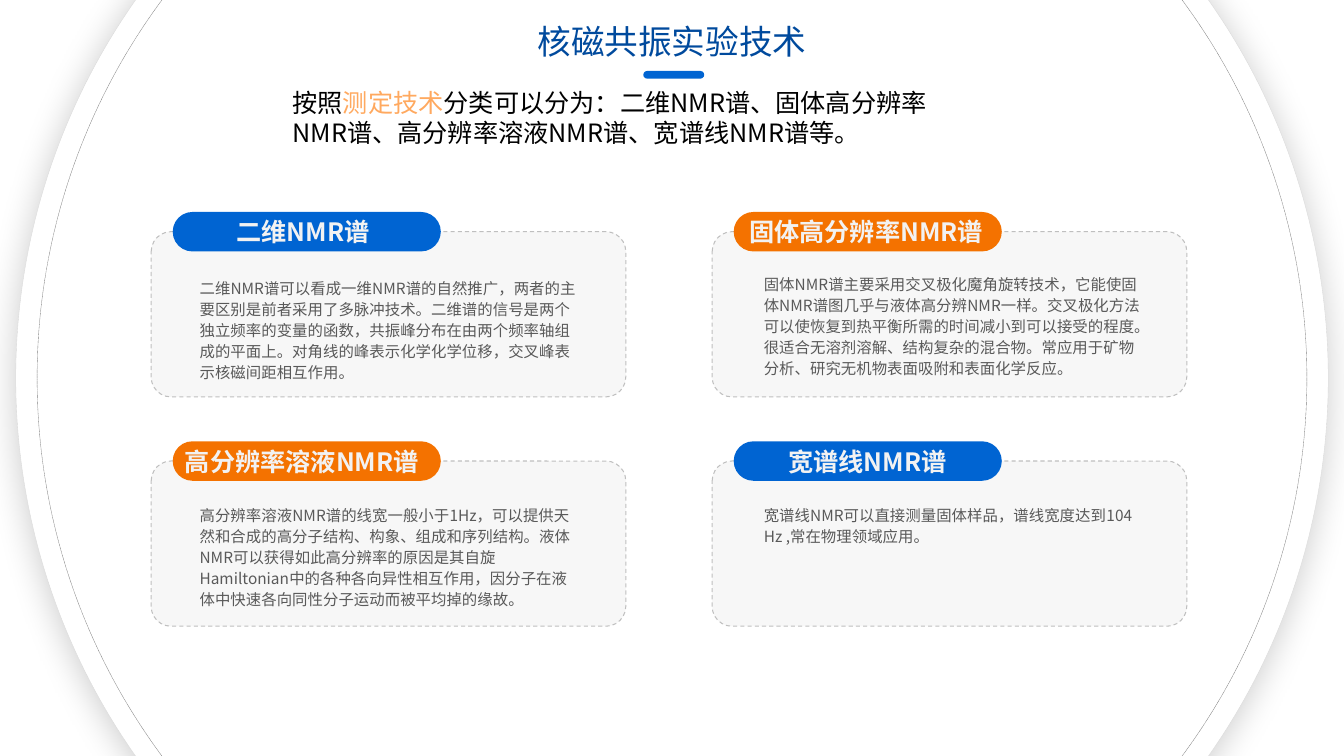
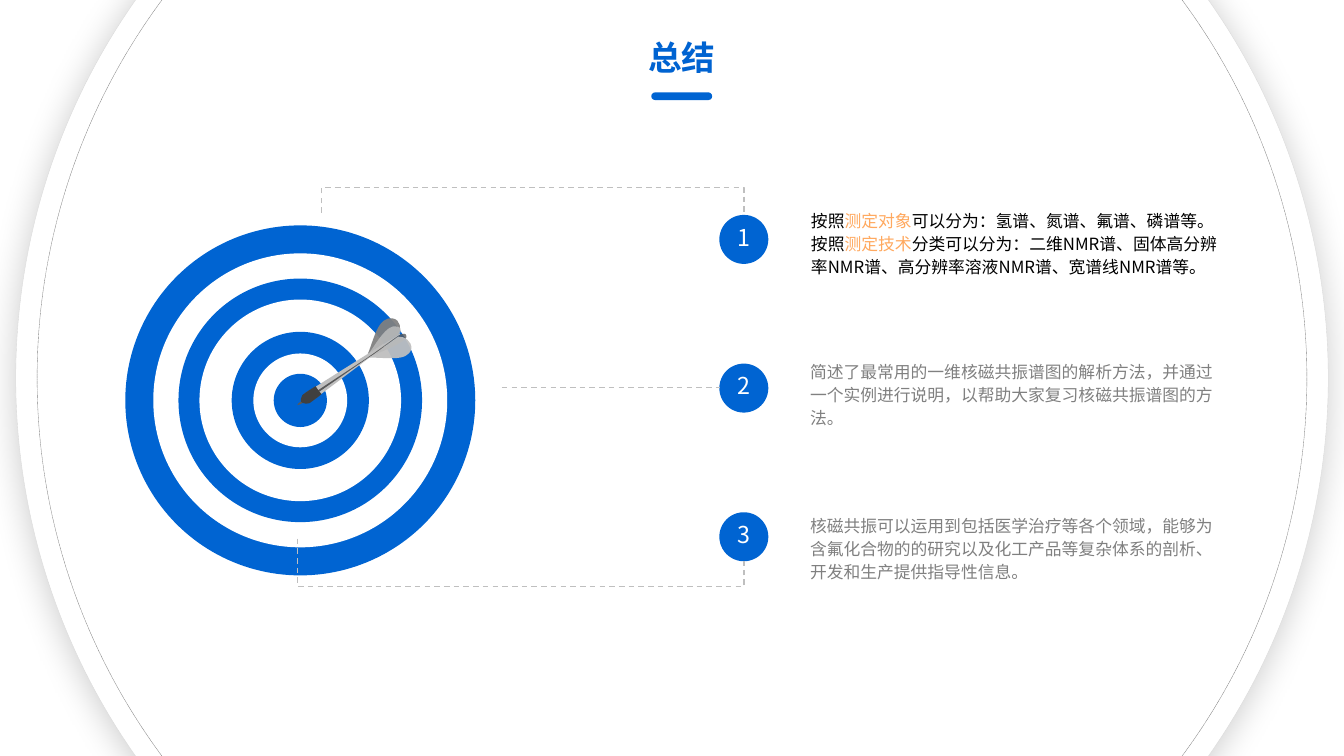
"""Build two slides on NMR techniques."""
from dataclasses import dataclass
from typing import Any

from lxml.etree import SubElement
from pptx import Presentation
from pptx.dml.color import RGBColor
from pptx.enum.dml import MSO_LINE
from pptx.enum.shapes import MSO_CONNECTOR, MSO_SHAPE
from pptx.enum.text import MSO_ANCHOR, MSO_AUTO_SIZE, PP_ALIGN
from pptx.oxml.ns import qn
from pptx.util import Pt

FACE = "Noto Sans CJK SC"
BLUE = RGBColor(0x00, 0x64, 0xD2)
NAVY = RGBColor(0x00, 0x4A, 0x9D)
AZURE = RGBColor(0x00, 0x63, 0xD1)
ORANGE = RGBColor(0xF4, 0x72, 0x00)
PEACH = RGBColor(0xFF, 0xA9, 0x5F)
BLACK = RGBColor(0x00, 0x00, 0x00)
COAL = RGBColor(0x40, 0x40, 0x40)
SLATE = RGBColor(0x59, 0x59, 0x59)
GRAY = RGBColor(0x80, 0x80, 0x80)
SILVER = RGBColor(0xBF, 0xBF, 0xBF)
PALE = RGBColor(0xD9, 0xD9, 0xD9)
FROST = RGBColor(0xF2, 0xF2, 0xF2)
MIST = RGBColor(0xF7, 0xF7, 0xF7)
WHITE = RGBColor(0xFF, 0xFF, 0xFF)


@dataclass(frozen=True)
class Box:
    """A place and size in points."""
    left: float
    top: float
    width: float
    height: float


@dataclass(frozen=True)
class Card:
    """A captioned panel; hx, dx and dy are text offsets from its corner."""
    col: int
    row: int
    fill: RGBColor
    head: str
    hx: float
    wide: float
    body: str
    dx: float
    dy: float
    tall: float


@dataclass(frozen=True)
class Item:
    """A numbered closing remark; bars mark accented words."""
    left: float
    top: float
    tall: float
    color: RGBColor
    text: str


@dataclass(frozen=True)
class Blade:
    """A closed outline; a step is an end point or a whole curve."""
    fill: RGBColor
    alpha: int
    start: tuple[float, float]
    steps: tuple[tuple[float, ...], ...]


CARDS = (
    Card(0, 0, BLUE, "二维NMR谱", 27.4, 162,
         "二维NMR谱可以看成一维NMR谱的自然推广，两者的主要区别是前者采用了多脉冲技术。"
         "二维谱的信号是两个独立频率的变量的函数，共振峰分布在由两个频率轴组成的平面上。"
         "对角线的峰表示化学化学位移，交叉峰表示核磁间距相互作用。", 27.5, 28.3, 83.5),
    Card(0, 1, ORANGE, "高分辨率溶液NMR谱", 9.4, 196.5,
         "高分辨率溶液NMR谱的线宽一般小于1Hz，可以提供天然和合成的高分子结构、构象、组成和序列结构。"
         "液体NMR可以获得如此高分辨率的原因是其自旋Hamiltonian中的各种各向异性相互作用，"
         "因分子在液体中快速各向同性分子运动而被平均掉的缘故。", 27.5, 26.8, 83.5),
    Card(1, 0, ORANGE, "固体高分辨率NMR谱", 12.4, 195,
         "固体NMR谱主要采用交叉极化魔角旋转技术，它能使固体NMR谱图几乎与液体高分辨NMR一样。"
         "交叉极化方法可以使恢复到热平衡所需的时间减小到可以接受的程度。"
         "很适合无溶剂溶解、结构复杂的混合物。常应用于矿物分析、研究无机物表面吸附和表面化学反应。",
         29.8, 25.7, 83.5),
    Card(1, 1, BLUE, "宽谱线NMR谱", 29.8, 162,
         "宽谱线NMR可以直接测量固体样品，谱线宽度达到104 Hz ,常在物理领域应用。", 29.8, 26.8, 36),
)
KINDS = "按照|测定技术|分类可以分为：二维NMR谱、固体高分辨率NMR谱、高分辨率溶液NMR谱、宽谱线NMR谱等。"
ITEMS = (
    Item(572.2, 144.7, 72, BLACK, "按照|测定对象|可以分为：氢谱、氮谱、氟谱、磷谱等。" + KINDS),
    Item(571.5, 252.7, 57, GRAY,
         "简述了最常用的一维核磁共振谱图的解析方法，并通过一个实例进行说明，以帮助大家复习核磁共振谱图的方法。"),
    Item(571.5, 362.9, 55.5, GRAY,
         "核磁共振可以运用到包括医学治疗等各个领域，能够为含氟化合物的的研究以及化工产品等复杂体系的剖析、"
         "开发和生产提供指导性信息。"),
)
RINGS = (250, 210, 174, 144, 98, 67, 38)
DART = (
    Blade(SILVER, 100, (285.8, 238.3), (
        (218.2, 280.8), (216.7, 281.5, 216, 284.4, 217.4, 285.8),
        (218.2, 288, 219.6, 288, 221, 286.6), (224.6, 285.1), (285.8, 239))),
    Blade(SLATE, 80, (263.5, 254.9), (
        (291.6, 244.1, 290.9, 240.5, 290.2, 239.8),
        (290.2, 238.3, 288, 237.6, 284.4, 239.8))),
    Blade(GRAY, 94, (262.8, 252.7), (
        (267.1, 242.6, 270, 225.4, 280.8, 227.5),
        (285.8, 228.2, 287.3, 235.4, 284.4, 239))),
    Blade(SILVER, 94, (263.5, 255.6), (
        (274.3, 254.9, 291.6, 259.2, 293.8, 249.1),
        (294.5, 244.1, 288.7, 239.8, 284.4, 240.5))),
    Blade(SILVER, 80, (262.8, 253.4), (
        (267.8, 247, 276.5, 230.4, 283.7, 233.3),
        (285.1, 233.3, 288, 234.7, 285.1, 239))),
    Blade(SLATE, 100, (274.3, 247.7), (
        (215.3, 286.6), (213.8, 287.3, 212.4, 288.7, 212.4, 289.4),
        (213.1, 289.4, 214.6, 288.7, 216, 288), (222.5, 283.7))),
    Blade(COAL, 100, (229.7, 281.5), (
        (227.5, 279.4, 226.8, 277.9, 225.4, 275.8),
        (224.6, 276.5, 218.2, 280.1, 216, 282.2),
        (214.6, 283.7, 214.6, 286.6, 215.3, 287.3),
        (216, 288, 218.2, 288.7, 221, 288),
        (223.2, 286.6, 229, 282.2, 229.7, 281.5))),
)


def spread(box: Box) -> tuple[Pt, Pt, Pt, Pt]:
    """Return the box as four lengths."""
    return Pt(box.left), Pt(box.top), Pt(box.width), Pt(box.height)


def disc(x: float, y: float, size: float) -> Box:
    """Return the square box around a centre."""
    return Box(x - size / 2, y - size / 2, size, size)


def draw(slide: Any, kind: MSO_SHAPE, box: Box, fill: RGBColor | None,
         curve: float | None = None) -> Any:
    """Add a flat preset shape without outline."""
    shape = slide.shapes.add_shape(kind, *spread(box))
    shape.shadow.inherit = False
    shape.line.fill.background()
    if fill is None:
        shape.fill.background()
    else:
        shape.fill.solid()
        shape.fill.fore_color.rgb = fill
    if curve is not None:
        shape.adjustments[0] = curve
    return shape


def edge(line: Any, color: RGBColor, width: float, dash: MSO_LINE | None) -> None:
    """Style an outline or connector line."""
    line.color.rgb = color
    line.width = Pt(width)
    if dash is not None:
        line.dash_style = dash


def write(shape: Any, text: str, size: float, color: RGBColor, bold: bool = False,
          align: PP_ALIGN = PP_ALIGN.LEFT, space: float = 1.0) -> Any:
    """Fill a text frame, with words between bars in the accent colour."""
    frame = shape.text_frame
    frame.word_wrap = True
    frame.auto_size = MSO_AUTO_SIZE.NONE
    frame.vertical_anchor = MSO_ANCHOR.TOP
    para = frame.paragraphs[0]
    para.alignment = align
    para.line_spacing = space
    font = para.font
    font.name, font.size, font.bold = FACE, Pt(size), bold
    font.color.rgb = color
    SubElement(font._element, qn("a:ea"), typeface=FACE)
    for rank, part in enumerate(text.split("|")):
        run = para.add_run()
        run.text = part
        if rank % 2:
            run.font.color.rgb = PEACH
    return frame


def label(slide: Any, box: Box, text: str, size: float, color: RGBColor,
          bold: bool = False, align: PP_ALIGN = PP_ALIGN.LEFT, space: float = 1.0) -> None:
    """Add a text box."""
    write(slide.shapes.add_textbox(*spread(box)), text, size, color, bold, align, space)


def frame_page(slide: Any, layout: Any) -> None:
    """Move the two large shadowed circles onto the layout."""
    plans = ((937.5, WHITE, PALE, None), (907, None, GRAY, MSO_LINE.SQUARE_DOT))
    for rank, (size, fill, color, dash) in enumerate(plans):
        shape = draw(slide, MSO_SHAPE.OVAL, disc(480, 270, size), fill)
        edge(shape.line, color, 0.25, dash)
        node = shape._element
        cast = SubElement(node.spPr.find(qn("a:effectLst")), qn("a:outerShdw"),
                          blurRad=str(Pt(25)), dist=str(Pt(3)), dir="5400000",
                          algn="t", rotWithShape="0")
        tint = SubElement(cast, qn("a:srgbClr"), val=str(BLACK))
        SubElement(tint, qn("a:alpha"), val="20000")
        layout.shapes._spTree.insert(2 + rank, node)


def head(slide: Any, text: str, x: float, y: float, color: RGBColor, bold: bool,
         bar: tuple[float, float]) -> None:
    """Set the title and the short bar below it."""
    title = slide.shapes.title
    title.left, title.top, title.width, title.height = spread(Box(x, y, 234, 36))
    write(title, text, 24, color, bold, PP_ALIGN.CENTER)
    draw(slide, MSO_SHAPE.ROUNDED_RECTANGLE, Box(*bar, 43.5, 5.5), BLUE, 0.5)


def panel(slide: Any, card: Card) -> None:
    """Draw one card with its caption pill and body."""
    x, y = 108 + 400.7 * card.col, 165.5 + 163.8 * card.row
    back = draw(slide, MSO_SHAPE.ROUNDED_RECTANGLE, Box(x, y, 339, 118), MIST, 0.12)
    edge(back.line, SILVER, 0.75, MSO_LINE.DASH)
    draw(slide, MSO_SHAPE.ROUNDED_RECTANGLE,
         Box(x + 15.4, y - 14.1, 191.5, 28.2), card.fill, 0.5)
    label(slide, Box(x + card.hx, y - 14.2, card.wide, 29), card.head, 18, FROST,
          True, PP_ALIGN.CENTER)
    label(slide, Box(x + card.dx, y + card.dy, 284.5, card.tall), card.body, 11, SLATE,
          space=1.14)


def trace(slide: Any, blade: Blade) -> None:
    """Draw one part of the dart with true curves."""
    spots = [(Pt(step[i]), Pt(step[i + 1]))
             for step in blade.steps for i in range(0, len(step), 2)]
    pen = slide.shapes.build_freeform(*map(Pt, blade.start))
    pen.add_line_segments(spots, close=True)
    shape = pen.convert_to_shape()
    shape.shadow.inherit = False
    shape.line.fill.background()
    shape.fill.solid()
    shape.fill.fore_color.rgb = blade.fill
    props = shape._element.spPr
    nodes = iter(list(props.iter(qn("a:lnTo"))))
    for step in blade.steps:
        first = next(nodes)
        if len(step) == 6:
            curve = first.getparent().makeelement(qn("a:cubicBezTo"))
            first.addprevious(curve)
            for node in (first, next(nodes), next(nodes)):
                curve.append(node[0])
                node.getparent().remove(node)
    if blade.alpha < 100:
        tint = props.find(qn("a:solidFill"))[0]
        SubElement(tint, qn("a:alpha"), val=str(blade.alpha * 1000))


def link(slide: Any, x: float, y: float, ex: float, ey: float,
         bend: float | None = None) -> None:
    """Add a dashed connector, bent by way of a level if one is given."""
    kind = MSO_CONNECTOR.STRAIGHT if bend is None else MSO_CONNECTOR.ELBOW
    wire = slide.shapes.add_connector(kind, Pt(x), Pt(y), Pt(ex), Pt(ey))
    edge(wire.line, SILVER, 1, MSO_LINE.DASH)
    props = wire._element.spPr
    SubElement(props, qn("a:effectLst"))
    if bend is None:
        return
    wide, tall = ey - y, ex - x
    wire.left, wire.top = Pt((x + ex - wide) / 2), Pt((y + ey - tall) / 2)
    wire.width, wire.height = Pt(wide), Pt(tall)
    form = props.find(qn("a:xfrm"))
    form.set("rot", "16200000")
    form.set("flipH", "1")
    ratio = round((bend - y) / wide * 100000)
    SubElement(props.find(qn("a:prstGeom")).find(qn("a:avLst")), qn("a:gd"),
               name="adj1", fmla=f"val {ratio}")


def methods(slide: Any) -> None:
    """Build the slide of four techniques."""
    head(slide, "核磁共振实验技术", 363, 11.5, NAVY, False, (459.5, 50.7))
    for card in CARDS:
        panel(slide, card)
    label(slide, Box(201.8, 58.6, 497.5, 51), KINDS, 18, BLACK)


def closing(slide: Any) -> None:
    """Build the summary slide with target and dart."""
    head(slide, "总结", 370, 23, AZURE, True, (465.2, 66))
    for rank, size in enumerate(RINGS):
        draw(slide, MSO_SHAPE.OVAL, disc(214.5, 286, size), WHITE if rank % 2 else BLUE)
    for blade in DART:
        trace(slide, blade)
    for rank in range(len(ITEMS)):
        dot = draw(slide, MSO_SHAPE.OVAL, disc(531.3, 171 + 106.2 * rank, 35), BLUE)
        frame = write(dot, str(rank + 1), 16.6, WHITE, False, PP_ALIGN.CENTER, 0.8)
        frame.vertical_anchor = MSO_ANCHOR.MIDDLE
        frame.margin_left = frame.margin_right = 0
    link(slide, 229.5, 152, 531.3, 153.5, 134)
    link(slide, 212.5, 384.7, 531.3, 401, 419)
    link(slide, 358.5, 277, 514, 277)
    for item in ITEMS:
        label(slide, Box(item.left, item.top, 310.3, item.tall), item.text, 12,
              item.color, space=1.14)


def main() -> None:
    """Build and save the deck."""
    deck = Presentation()
    deck.slide_width, deck.slide_height = Pt(960), Pt(540)
    layout = deck.slide_layouts[5]
    first, last = (deck.slides.add_slide(layout) for _ in range(2))
    frame_page(first, layout)
    methods(first)
    closing(last)
    deck.save("out.pptx")


if __name__ == "__main__":
    main()
